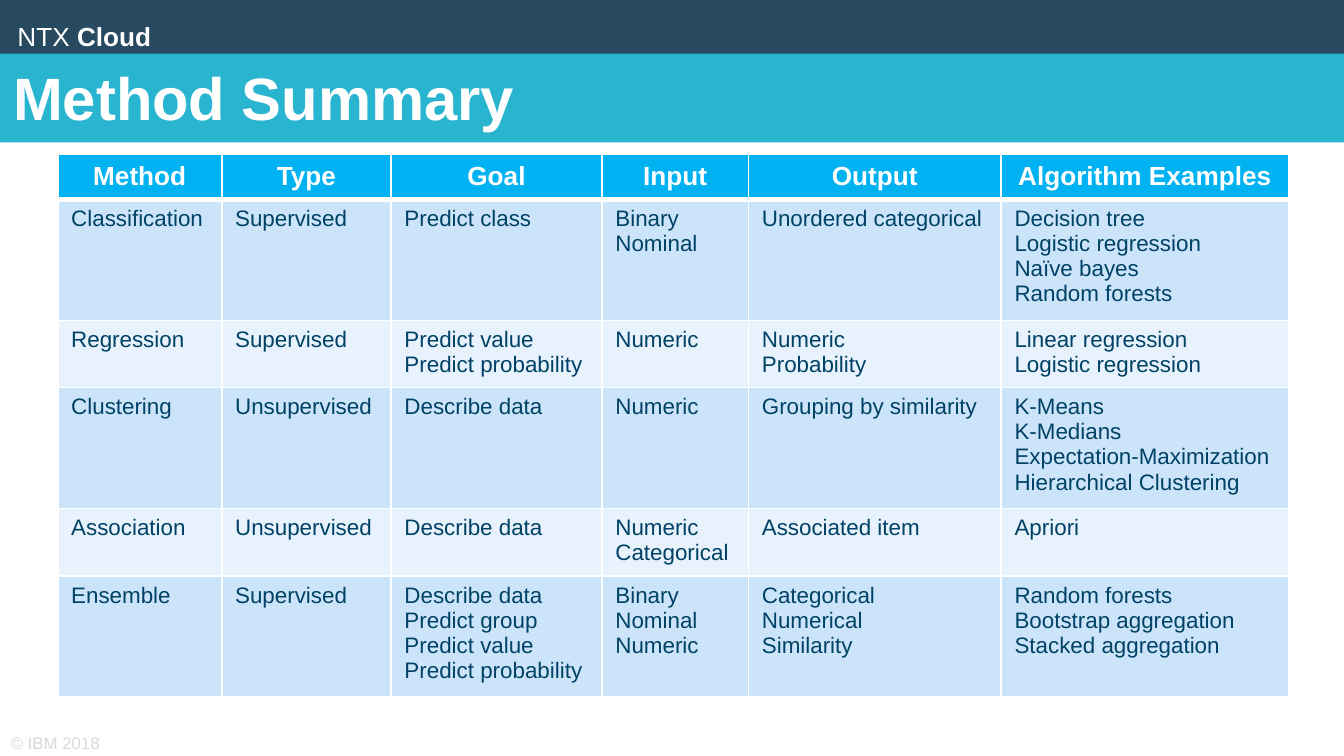
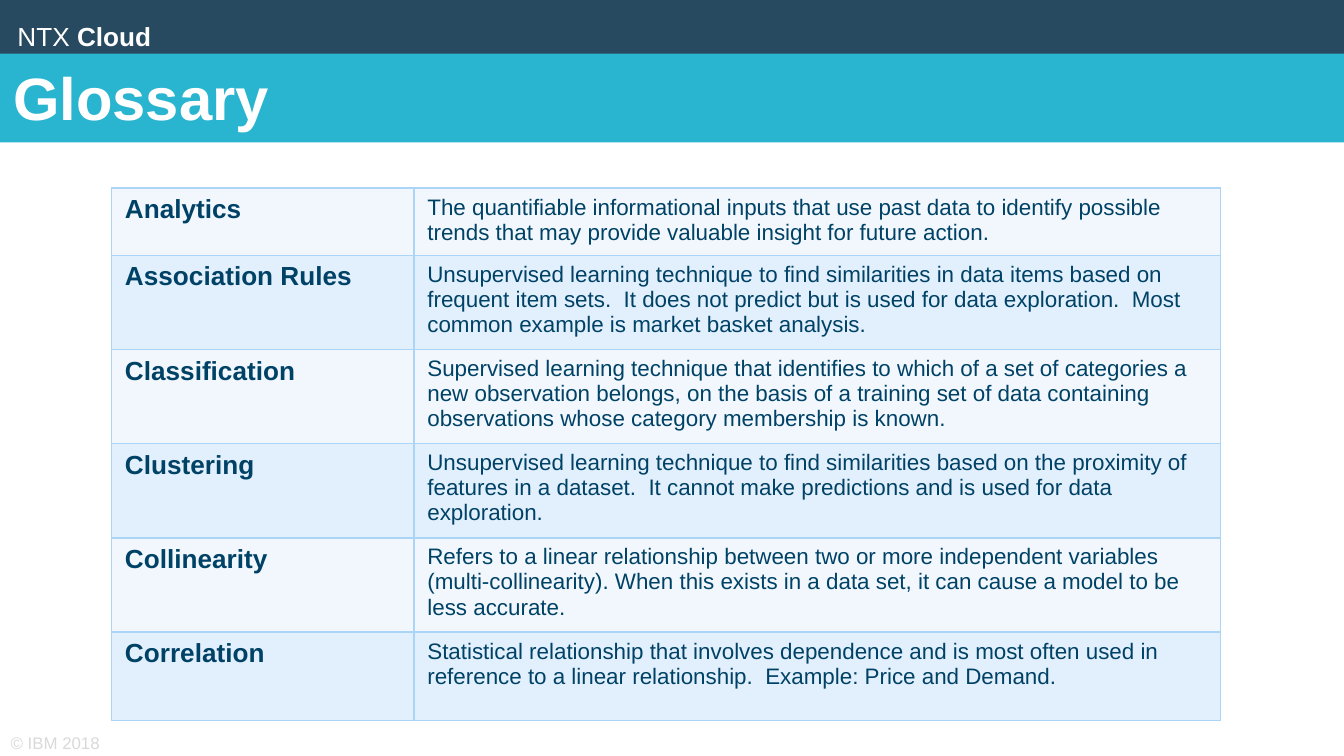
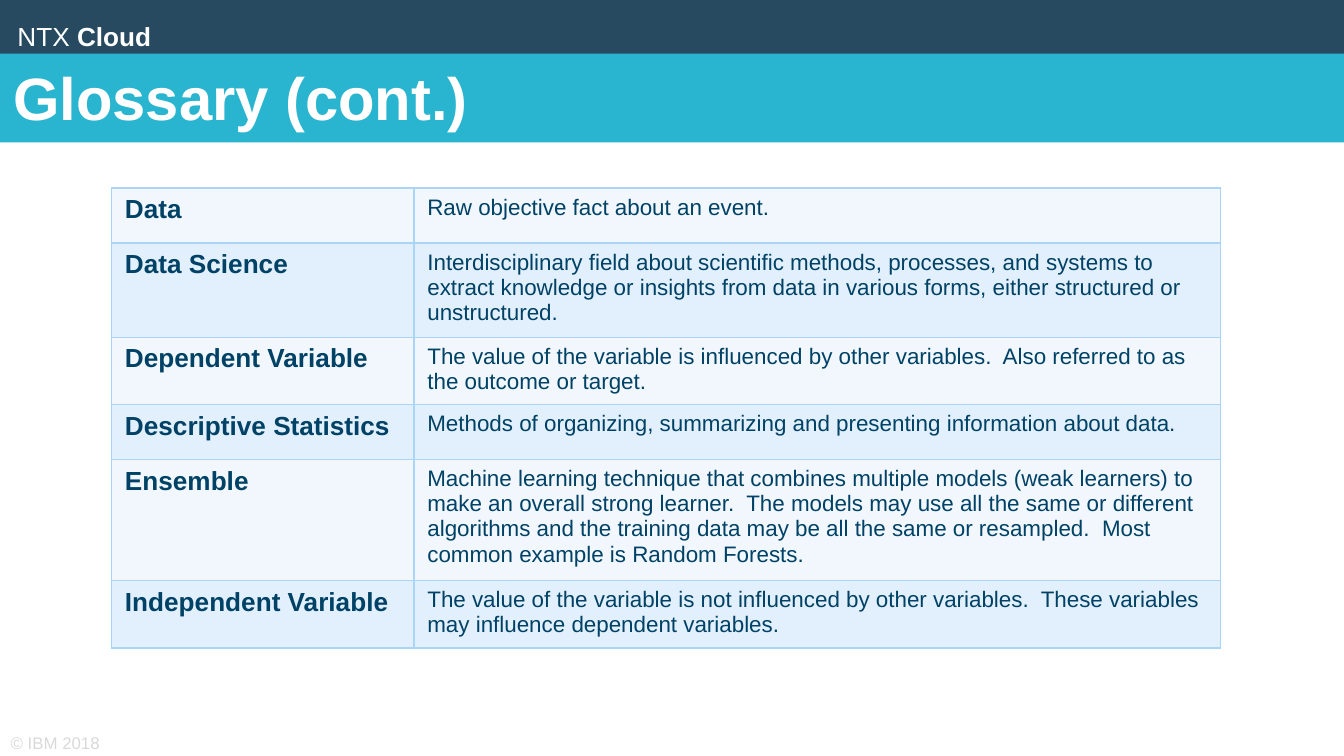
"""Build three slides: a summary of learning methods and a two-part glossary."""
import pptx
import pptx.dml.color
import pptx.enum.shapes
import pptx.enum.text
import pptx.oxml
import pptx.oxml.ns
import pptx.util
from pptx.util import Inches

HUES = {
    "white": "FFFFFF", "navy": "274A60", "teal": "29B5CF", "gray": "D9D9D9",
    "ink": "004266", "head": "00B2F2", "dark": "CCE4FA", "light": "E7F2FC",
    "pale": "F1F7FD", "tint": "E2EFFC", "rule": "AAD5F7",
}
FONT = "Arial"
WIDE = 10
HIGH = WIDE * 9 / 16
ANCHOR = pptx.enum.text.MSO_ANCHOR
ALIGN = pptx.enum.text.PP_ALIGN

HEADS = ["Method", "Type", "Goal", "Input", "Output", "Algorithm Examples"]
METHODS = [
    ["Classification", "Supervised", "Predict class", "Binary\nNominal",
     "Unordered categorical",
     "Decision tree\nLogistic regression\nNaïve bayes\nRandom forests"],
    ["Regression", "Supervised", "Predict value\nPredict probability", "Numeric",
     "Numeric\nProbability", "Linear regression\nLogistic regression"],
    ["Clustering", "Unsupervised", "Describe data", "Numeric",
     "Grouping by similarity",
     "K-Means\nK-Medians\nExpectation-Maximization\nHierarchical Clustering"],
    ["Association", "Unsupervised", "Describe data", "Numeric\nCategorical",
     "Associated item", "Apriori"],
    ["Ensemble", "Supervised",
     "Describe data\nPredict group\nPredict value\nPredict probability",
     "Binary\nNominal\nNumeric", "Categorical\nNumerical\nSimilarity",
     "Random forests\nBootstrap aggregation\nStacked aggregation"],
]
TERMS = [
    ["Analytics",
     "The quantifiable informational inputs that use past data to identify possible "
     "trends that may provide valuable insight for future action."],
    ["Association Rules",
     "Unsupervised learning technique to find similarities in data items based on "
     "frequent item sets.  It does not predict but is used for data exploration.  "
     "Most common example is market basket analysis."],
    ["Classification",
     "Supervised learning technique that identifies to which of a set of categories "
     "a new observation belongs, on the basis of a training set of data containing "
     "observations whose category membership is known."],
    ["Clustering",
     "Unsupervised learning technique to find similarities based on the proximity of "
     "features in a dataset.  It cannot make predictions and is used for data "
     "exploration."],
    ["Collinearity",
     "Refers to a linear relationship between two or more independent variables "
     "(multi-collinearity). When this exists in a data set, it can cause a model to "
     "be less accurate."],
    ["Correlation",
     "Statistical relationship that involves dependence and is most often used in "
     "reference to a linear relationship.  Example: Price and Demand."],
]
MORE = [
    ["Data", "Raw objective fact about an event."],
    ["Data Science",
     "Interdisciplinary field about scientific methods, processes, and systems to "
     "extract knowledge or insights from data in various forms, either structured or "
     "unstructured."],
    ["Dependent Variable",
     "The value of the variable is influenced by other variables.  Also referred to "
     "as the outcome or target."],
    ["Descriptive Statistics",
     "Methods of organizing, summarizing and presenting information about data."],
    ["Ensemble",
     "Machine learning technique that combines multiple models (weak learners) to "
     "make an overall strong learner.  The models may use all the same or different "
     "algorithms and the training data may be all the same or resampled.  Most common "
     "example is Random Forests."],
    ["Independent Variable",
     "The value of the variable is not influenced by other variables.  These "
     "variables may influence dependent variables."],
]


class Deck:
    def __init__(self):
        self.show = pptx.Presentation()
        self.show.slide_width = Inches(WIDE)
        self.show.slide_height = Inches(HIGH)
        self.slide = None

    def hue(self, name):
        return pptx.dml.color.RGBColor.from_string(HUES[name])

    def style(self, font, size, hue, bold=False):
        font.name = FONT
        font.size = pptx.util.Pt(size)
        font.color.rgb = self.hue(hue)
        font.bold = bold

    def page(self, title):
        self.slide = self.show.slides.add_slide(self.show.slide_layouts[6])
        self.band(0, 0.41, "navy")
        self.label(0.08, 5.47, 3.6, 0.11, 0, ["© IBM 2018"], 9, "gray", ANCHOR.MIDDLE)
        brand = self.label(0.08, 0.13, 1.57, 0.32, 0.05, ["NTX ", "Cloud"], 14, "white")
        brand.line_spacing = 0.9
        brand.runs[1].font.bold = True
        self.title(title)

    def band(self, top, high, hue):
        kind = pptx.enum.shapes.MSO_SHAPE.RECTANGLE
        shape = self.slide.shapes.add_shape(
            kind, Inches(0), Inches(top), Inches(WIDE), Inches(high))
        shape.shadow.inherit = False
        shape.fill.solid()
        shape.fill.fore_color.rgb = self.hue(hue)
        shape.line.fill.background()
        return shape

    def title(self, text):
        frame = self.band(0.4, 0.66, "teal").text_frame
        frame.word_wrap = True
        frame.vertical_anchor = ANCHOR.MIDDLE
        frame.margin_top = Inches(0.02)
        frame.text = text
        para = frame.paragraphs[0]
        para.alignment = ALIGN.LEFT
        self.style(para.font, 32, "white", True)

    def label(self, left, top, wide, high, inset, parts, size, hue, anchor=ANCHOR.TOP):
        box = self.slide.shapes.add_textbox(
            Inches(left), Inches(top), Inches(wide), Inches(high))
        frame = box.text_frame
        frame.word_wrap = True
        frame.vertical_anchor = anchor
        frame.margin_left = frame.margin_right = Inches(inset)
        frame.margin_top = frame.margin_bottom = Inches(inset)
        para = frame.paragraphs[0]
        for part in parts:
            para.add_run().text = part
        self.style(para.font, size, hue)
        return para

    def edges(self, cell, hue, top=1, base=1):
        props = cell._tc.get_or_add_tcPr()
        for side, width in zip("LRTB", (1, 1, top, base)):
            props.append(pptx.oxml.parse_xml(
                f'<a:ln{side} {pptx.oxml.ns.nsdecls("a")} w="{pptx.util.Pt(width)}">'
                f'<a:solidFill><a:srgbClr val="{HUES[hue]}"/></a:solidFill></a:ln{side}>'))

    def cell(self, cell, text, fill, size, hue, bold, align=ALIGN.LEFT):
        cell.fill.solid()
        cell.fill.fore_color.rgb = self.hue(fill)
        cell.text = text
        for para in cell.text_frame.paragraphs:
            para.alignment = align
            self.style(para.font, size, hue, bold)
            para._p.append(pptx.oxml.parse_xml(
                f'<a:endParaRPr {pptx.oxml.ns.nsdecls("a")} sz="{size * 100}"/>'))

    def grid(self, left, top, cols, highs):
        frame = self.slide.shapes.add_table(
            len(highs), len(cols), Inches(left), Inches(top),
            Inches(sum(cols)), Inches(sum(highs)))
        table = frame.table
        table.first_row = table.horz_banding = False
        for col, wide in zip(table.columns, cols):
            col.width = Inches(wide)
        for row, high in zip(table.rows, highs):
            row.height = Inches(high)
        return table

    def methods(self):
        table = self.grid(0.43, 1.15, [1.22, 1.26, 1.57, 1.09, 1.88, 2.14],
                          [0.33, 0.9, 0.5, 0.9, 0.5, 0.9])
        for r, row in enumerate([HEADS] + METHODS):
            for c, text in enumerate(row):
                cell = table.cell(r, c)
                self.edges(cell, "white", 3 if r == 1 else 1, 3 if r == 0 else 1)
                if r == 0:
                    self.cell(cell, text, "head", 14, "white", True, ALIGN.CENTER)
                else:
                    self.cell(cell, text, "dark" if r % 2 else "light", 12, "ink", False)

    def terms(self, rows, highs):
        table = self.grid(0.83, 1.4, [2.25, 6], highs)
        for r, row in enumerate(rows):
            for c, text in enumerate(row):
                cell = table.cell(r, c)
                self.edges(cell, "rule")
                self.cell(cell, text, "tint" if r % 2 else "pale",
                          12 if c else 14, "ink", c == 0)


def main():
    deck = Deck()
    deck.page("Method Summary")
    deck.methods()
    deck.page("Glossary")
    deck.terms(TERMS, [0.47] + [0.66] * 5)
    deck.page("Glossary (cont.)")
    deck.terms(MORE, [0.41, 0.66, 0.47, 0.41, 0.85, 0.47])
    deck.show.save("out.pptx")


if __name__ == "__main__":
    main()
